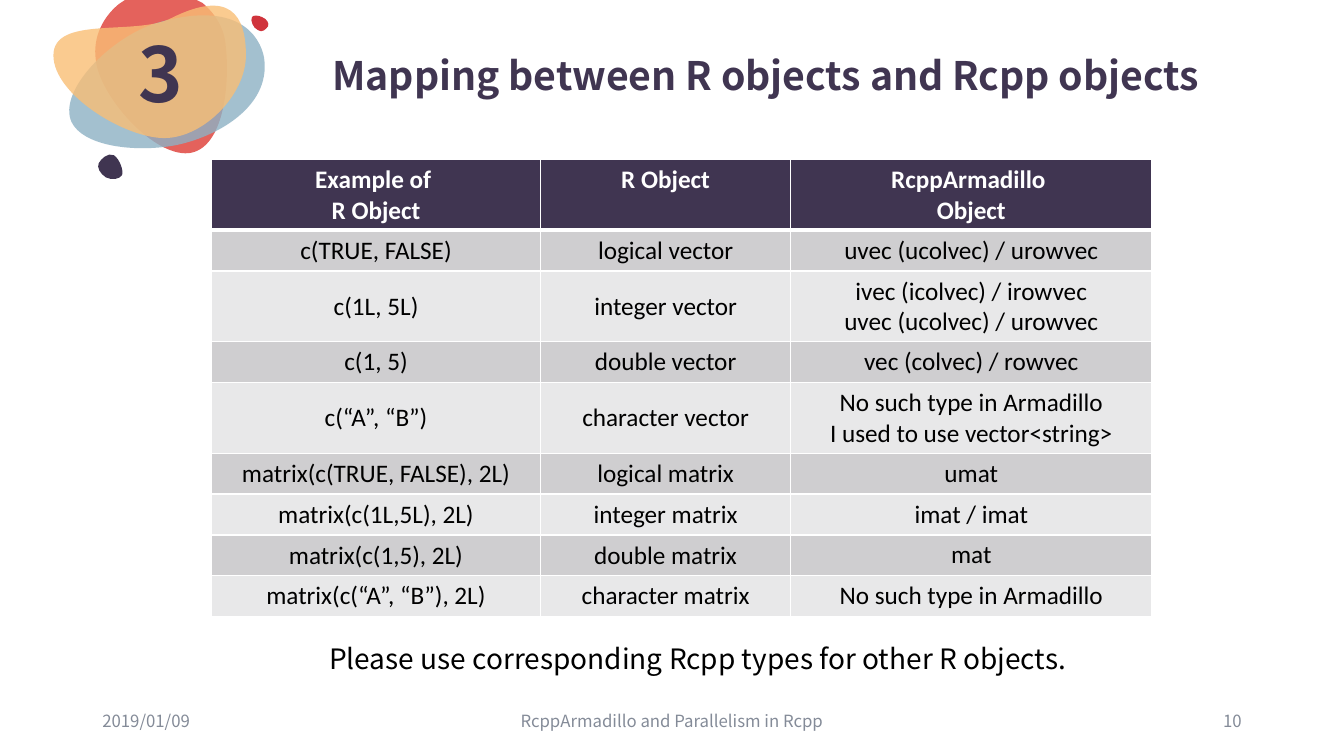
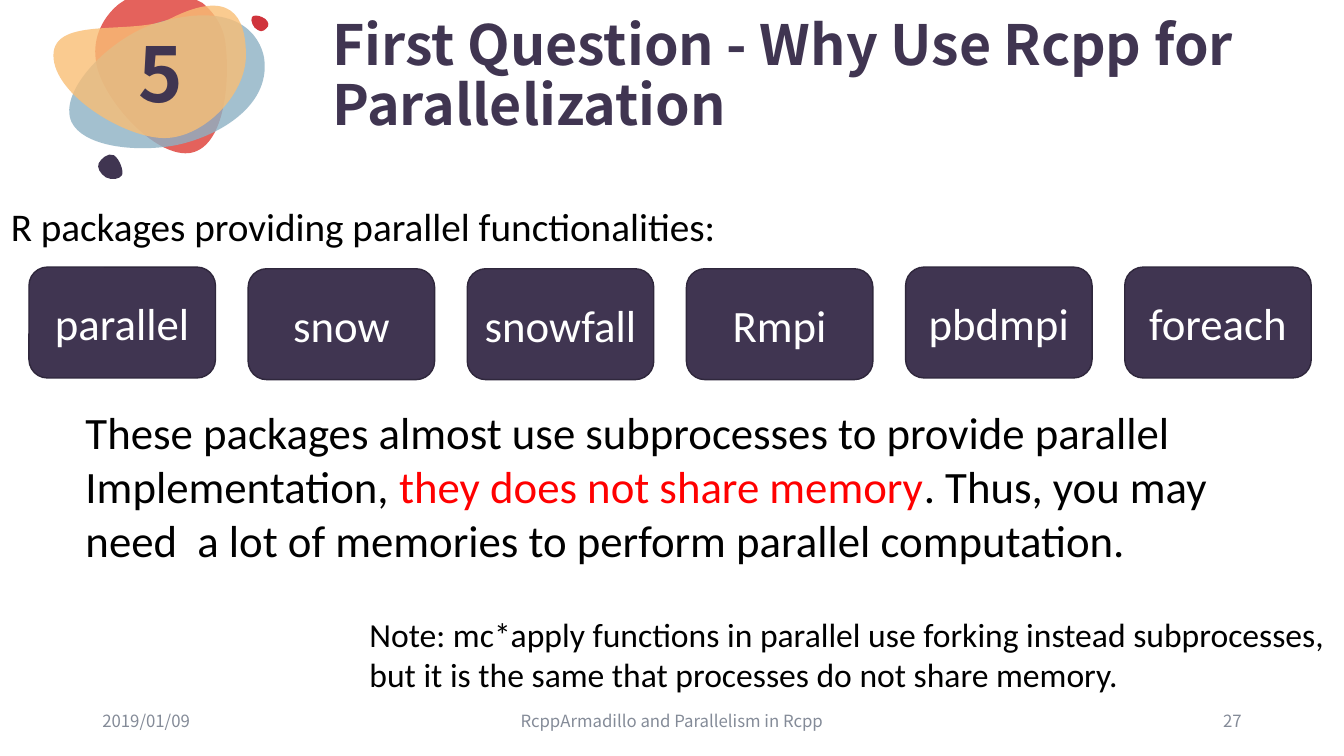
from dataclasses import dataclass
from typing import NamedTuple, Optional, Sequence, Union

import pptx
import pptx.util
from lxml import etree
from pptx.dml.color import RGBColor
from pptx.enum.shapes import MSO_SHAPE
from pptx.enum.text import MSO_ANCHOR, MSO_AUTO_SIZE, PP_ALIGN
from pptx.oxml.ns import qn

# Grid of square cells covering the slide
COLS, ROWS = 160, 90
CELL = pptx.util.Inches(7.5) / ROWS

PLUM = RGBColor(0x40, 0x35, 0x51)
DARK_PLUM = RGBColor(0x2F, 0x27, 0x3C)
CORAL = RGBColor(0xE4, 0x62, 0x5C)
SKY = RGBColor(0x8D, 0xB1, 0xC4)
APRICOT = RGBColor(0xF9, 0xBE, 0x75)
CRIMSON = RGBColor(0xD0, 0x34, 0x3C)
RED = RGBColor(0xFF, 0x00, 0x00)
GREY = RGBColor(0x84, 0x8B, 0x98)
BLACK = RGBColor(0x00, 0x00, 0x00)
WHITE = RGBColor(0xFF, 0xFF, 0xFF)
BANDS = (RGBColor(0xCF, 0xCE, 0xD0), RGBColor(0xE8, 0xE8, 0xE9))

HEAD_FONT, BODY_FONT = "Noto Sans CJK SC", "Calibri"


class Run(NamedTuple):
    text: str
    color: Optional[RGBColor] = None


Line = Union[str, Sequence[Run]]


class Box(NamedTuple):
    """Left, top, width and height in grid cells."""
    x: float
    y: float
    w: float
    h: float

    def emu(self) -> list[pptx.util.Emu]:
        return [cells(v) for v in self]


@dataclass(frozen=True)
class Blob:
    """Closed outline; a segment is a line end (x, y) or a Bézier (x1, y1, x2, y2, x, y)."""
    color: RGBColor
    box: Box
    start: tuple[float, float]
    segments: tuple[tuple[float, ...], ...]
    opacity: int = 100


@dataclass(frozen=True)
class Package:
    name: str
    top: float


BLOBS = (
    Blob(CORAL, Box(11.3, 0, 15.7, 18.25), (14.88, 0), (
        (23.4, 0), (24.12, 0.36),
        (25.68, 1.68, 26.76, 3.48, 26.88, 5.52),
        (27.36, 9.72, 26.76, 17.76, 22.44, 18.24),
        (18.12, 18.6, 11.76, 11.28, 11.4, 7.08),
        (11.04, 4.44, 12.24, 2.04, 14.16, 0.48))),
    Blob(SKY, Box(8.25, 1.8, 23.3, 15.85), (8.52, 14.52), (
        (9.84, 17.28, 15.48, 18.12, 20.28, 17.4),
        (24.96, 16.68, 32.4, 13.08, 31.44, 6.84),
        (30.96, 4.32, 28.32, -0.12, 18.6, 2.76),
        (13.2, 4.44, 6.84, 10.8, 8.52, 14.52)), 80),
    Blob(APRICOT, Box(6.36, 0.7, 22.92, 15.74), (6.36, 6.6), (
        (6.36, 11.28, 14.88, 16.44, 19.56, 16.44),
        (24.24, 16.44, 29.28, 11.28, 29.28, 6.6),
        (29.28, 1.8, 27.36, -1.32, 20.4, 2.16),
        (16.2, 4.32, 6.36, 1.8, 6.36, 6.6)), 80),
    Blob(PLUM, Box(11.65, 18.35, 2.9, 2.9), (14.52, 20.88), (
        (14.76, 20.4, 14.28, 18.96, 13.56, 18.48),
        (12.84, 18.12, 12, 18.96, 11.76, 19.44),
        (11.52, 19.92, 11.88, 20.64, 12.6, 21.12),
        (13.32, 21.48, 14.16, 21.36, 14.52, 20.88))),
    Blob(CRIMSON, Box(29.9, 1.8, 2, 1.9), (30, 2.04), (
        (29.76, 2.4, 30.12, 3.36, 30.72, 3.6),
        (31.2, 3.96, 31.68, 3.48, 31.92, 3.12),
        (32.04, 2.76, 31.8, 2.28, 31.2, 2.04),
        (30.72, 1.8, 30.12, 1.8, 30, 2.04))),
)

TABLE_BOX = Box(25.2, 19, 111.92, 54.4)
TABLE_COLS = (39.14, 29.82, 42.96)
TABLE_ROW = 4.87
OBJECT_ROWS = (
    ("Example of \nR Object", "R Object", "RcppArmadillo \nObject"),
    ("c(TRUE, FALSE)", "logical vector", "uvec (ucolvec) / urowvec"),
    ("c(1L, 5L)", "integer vector", "ivec (icolvec) / irowvec\nuvec (ucolvec) / urowvec"),
    ("c(1, 5)", "double vector", "vec (colvec) / rowvec"),
    ("c(“A”, “B”)", "character vector",
     "No such type in Armadillo\nI used to use vector<string>"),
    ("matrix(c(TRUE, FALSE), 2L)", "logical matrix", "umat"),
    ("matrix(c(1L,5L), 2L)", "integer matrix", "imat / imat"),
    ("matrix(c(1,5), 2L)", "double matrix", "mat"),
    ("matrix(c(“A”, “B”), 2L)", "character matrix", "No such type in Armadillo"),
)

PACKAGES = (
    Package("parallel", 31.8), Package("snow", 32), Package("snowfall", 32),
    Package("Rmpi", 32), Package("pbdmpi", 31.8), Package("foreach", 31.8),
)


def cells(n: float) -> pptx.util.Emu:
    return pptx.util.Emu(round(n * CELL))


def write(tf, lines: Sequence[Line], *, size: float, font: str = BODY_FONT,
          color: RGBColor = BLACK, bold: bool = False, align=PP_ALIGN.LEFT,
          anchor=MSO_ANCHOR.TOP, spacing: Optional[float] = None,
          before: float = 0, after: float = 0, wrap: bool = True) -> None:
    """Fill a text frame, one paragraph a line."""
    tf.word_wrap = wrap
    tf.vertical_anchor = anchor
    for i, line in enumerate(lines):
        p = tf.add_paragraph() if i else tf.paragraphs[0]
        p.alignment = align
        p.space_before, p.space_after = pptx.util.Pt(before), pptx.util.Pt(after)
        if spacing:
            p.line_spacing = spacing
        for run in [Run(line)] if isinstance(line, str) else line:
            r = p.add_run()
            r.text = run.text
            r.font.name, r.font.size, r.font.bold = font, pptx.util.Pt(size), bold
            r.font.color.rgb = run.color or color


def add_text(s, box: Box, *lines: Line, grow: bool = False, **fmt) -> None:
    tf = s.shapes.add_textbox(*box.emu()).text_frame
    write(tf, lines, **fmt)
    if grow:
        tf.auto_size = MSO_AUTO_SIZE.SHAPE_TO_FIT_TEXT


def draw_curves(sp, blob: Blob) -> None:
    """Replace the straight outline of a freeform by the blob's lines and curves."""
    sp.left, sp.top, sp.width, sp.height = blob.box.emu()
    outline = sp._element.find(f".//{qn('a:path')}")
    for child in list(outline):
        outline.remove(child)
    outline.set("w", str(sp.width))
    outline.set("h", str(sp.height))
    tags = {2: "a:lnTo", 6: "a:cubicBezTo"}
    steps = [("a:moveTo", blob.start)] + [(tags[len(seg)], seg) for seg in blob.segments]
    for tag, seg in steps:
        step = etree.SubElement(outline, qn(tag))
        for x, y in zip(seg[::2], seg[1::2]):
            etree.SubElement(step, qn("a:pt"), x=str(cells(x) - sp.left),
                             y=str(cells(y) - sp.top))
    etree.SubElement(outline, qn("a:close"))


def add_blob(s, blob: Blob) -> None:
    ends = [(cells(x), cells(y)) for x, y in (seg[-2:] for seg in blob.segments)]
    builder = s.shapes.build_freeform(*map(cells, blob.start), scale=1.0)
    builder.add_line_segments(ends, close=True)
    sp = builder.convert_to_shape()
    draw_curves(sp, blob)
    sp.shadow.inherit = False
    sp.fill.solid()
    sp.fill.fore_color.rgb = blob.color
    sp.line.fill.background()
    if blob.opacity < 100:
        clr = sp._element.spPr.find(f"{qn('a:solidFill')}/{qn('a:srgbClr')}")
        etree.SubElement(clr, qn("a:alpha"), val=str(blob.opacity * 1000))


def add_base(prs, section: str, title: str, title_size: float, number: str):
    """Add a slide with the section badge, title and footer."""
    s = prs.slides.add_slide(prs.slide_layouts[6])
    for blob in BLOBS:
        add_blob(s, blob)
    heading = dict(font=HEAD_FONT, color=PLUM, bold=True,
                   anchor=MSO_ANCHOR.MIDDLE, spacing=0.9)
    add_text(s, Box(38.4, 1.8, 110.6, 14.9), title, size=title_size, **heading)
    for x, w, text, align in (
            (11, 36, "2019/01/09", PP_ALIGN.LEFT),
            (53, 54, "RcppArmadillo and Parallelism in Rcpp", PP_ALIGN.CENTER),
            (113, 36, number, PP_ALIGN.RIGHT)):
        add_text(s, Box(x, 83.4, w, 4.8), text, size=12, font=HEAD_FONT, color=GREY,
                 align=align, anchor=MSO_ANCHOR.MIDDLE)
    add_text(s, Box(11.5, 1.85, 15.2, 14.8), section, size=54, before=10, after=12,
             align=PP_ALIGN.CENTER, **heading)
    return s


def set_borders(cell, bottom: float) -> None:
    """White borders of 1 pt, with the given width below."""
    tc_pr = cell._tc.get_or_add_tcPr()
    for i, (side, width) in enumerate((("L", 1), ("R", 1), ("T", 1), ("B", bottom))):
        ln = etree.Element(qn(f"a:ln{side}"), w=str(pptx.util.Pt(width)))
        fill = etree.SubElement(ln, qn("a:solidFill"))
        etree.SubElement(fill, qn("a:srgbClr"), val=str(WHITE))
        tc_pr.insert(i, ln)


def add_object_table(s) -> None:
    frame = s.shapes.add_table(len(OBJECT_ROWS), len(TABLE_COLS), *TABLE_BOX.emu())
    table = frame.table
    table.first_row = table.horz_banding = False
    for column, width in zip(table.columns, TABLE_COLS):
        column.width = cells(width)
    for i, texts in enumerate(OBJECT_ROWS):
        table.rows[i].height = cells(TABLE_ROW)
        header = i == 0
        for j, text in enumerate(texts):
            cell = table.cell(i, j)
            cell.fill.solid()
            cell.fill.fore_color.rgb = PLUM if header else BANDS[(i - 1) % 2]
            set_borders(cell, bottom=3 if header else 1)
            write(cell.text_frame, text.split("\n"), size=18, bold=header,
                  color=WHITE if header else BLACK, align=PP_ALIGN.CENTER)
            top = header or j == len(texts) - 1
            cell.vertical_anchor = MSO_ANCHOR.TOP if top else MSO_ANCHOR.MIDDLE
    frame.height = cells(TABLE_BOX.h)


def add_packages(s) -> None:
    left, right, w, h = 3.45, 156.1, 22.2, 13.2
    pitch = (right - left - w) / (len(PACKAGES) - 1)
    for i, package in enumerate(PACKAGES):
        box = Box(left + i * pitch, package.top, w, h)
        sp = s.shapes.add_shape(MSO_SHAPE.ROUNDED_RECTANGLE, *box.emu())
        sp.shadow.inherit = False
        sp.fill.solid()
        sp.fill.fore_color.rgb = PLUM
        sp.line.color.rgb = DARK_PLUM
        sp.line.width = pptx.util.Pt(1)
        write(sp.text_frame, [package.name], size=32, color=WHITE,
              align=PP_ALIGN.CENTER, anchor=MSO_ANCHOR.MIDDLE)


def add_mapping_slide(prs) -> None:
    s = add_base(prs, "3", "Mapping between R objects and Rcpp objects", 28, "10")
    add_object_table(s)
    add_text(s, Box(38, 75.75, 93, 5.25),
             "Please use corresponding Rcpp types for other R objects.",
             size=20, font=HEAD_FONT, wrap=False, grow=True)


def add_parallel_slide(prs) -> None:
    s = add_base(prs, "5", "First Question - Why Use Rcpp for Parallelization", 39.6, "27")
    add_text(s, Box(42.8, 72.5, 117.2, 10.9),
             "Note: mc*apply functions in parallel use forking instead subprocesses,",
             "but it is the same that processes do not share memory.",
             size=24, wrap=False, grow=True)
    add_packages(s)
    add_text(s, Box(0.1, 23.5, 155.9, 6.8),
             "R packages providing parallel functionalities:", size=28, grow=True)
    add_text(s, Box(9, 47.6, 138.2, 20.6),
             "These packages almost use subprocesses to provide parallel",
             (Run("Implementation, "), Run("they does not share memory", RED),
              Run(". Thus, you may")),
             "need  a lot of memories to perform parallel computation.",
             size=32, wrap=False, grow=True)


def main() -> None:
    prs = pptx.Presentation()
    prs.slide_width, prs.slide_height = cells(COLS), cells(ROWS)
    add_mapping_slide(prs)
    add_parallel_slide(prs)
    prs.save("out.pptx")


if __name__ == "__main__":
    main()
